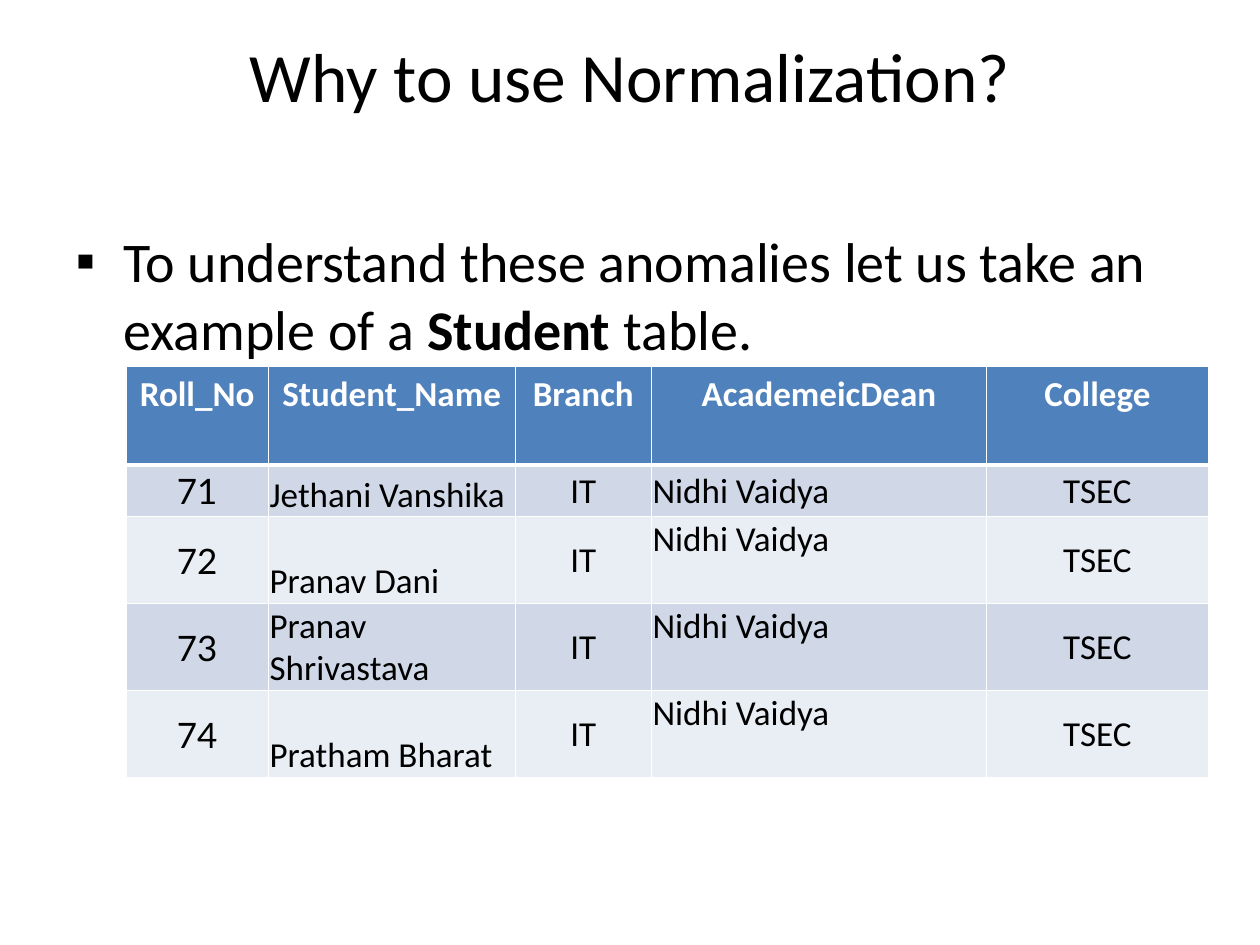
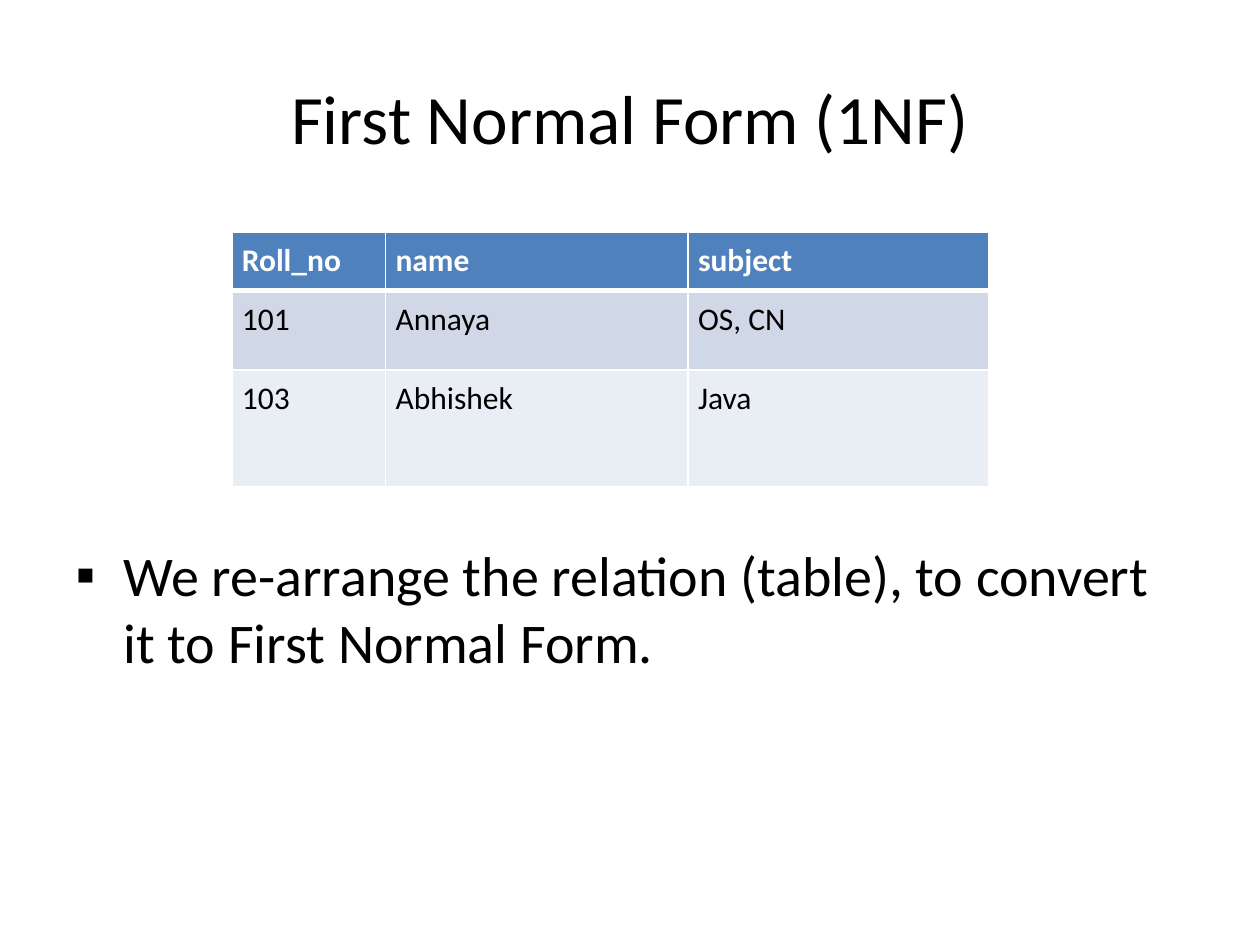
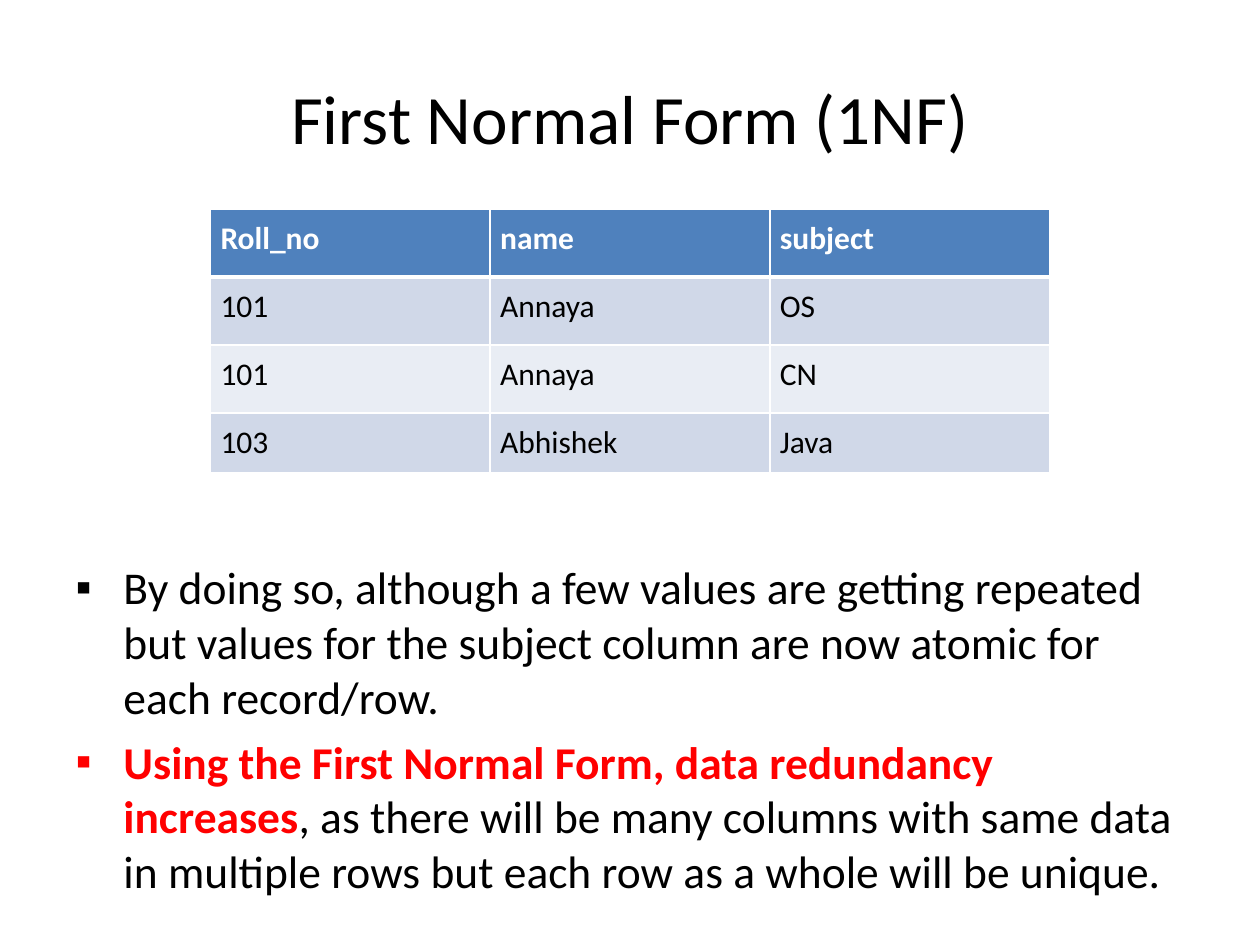
from lxml.etree import SubElement
from pptx import Presentation
from pptx.dml.color import RGBColor
from pptx.enum.text import MSO_ANCHOR, MSO_AUTO_SIZE, PP_ALIGN
from pptx.oxml.ns import qn
from pptx.util import Inches, Pt

# Shared style
COLORS = {
    "text": "000000",
    "accent": "FF0000",
    "header": "4F81BD",
    "header_text": "FFFFFF",
    "border": "FFFFFF",
    "odd_row": "D0D8E8",
    "even_row": "E9EDF4",
}
FONT = "Calibri"
NUMBER_FONT = "Lato"
TITLE_SIZE = 39.6
BULLET = "▪"
INDENT = 0.38
LEFT, WIDTH = 0.5, 9
CELL_INSETS = (0.08, 0.08, 0.08, 0.08)
TIGHT_INSETS = (0.01, 0.01, 0.01, 0)


class Deck:
    """Holds the presentation, its style and the current slide."""

    def __init__(self):
        self.prs = Presentation()
        self.prs.slide_width = Inches(10)
        self.prs.slide_height = Inches(7.5)
        self.slide = None

    def new_slide(self):
        self.slide = self.prs.slides.add_slide(self.prs.slide_layouts[1])

    def add_run(self, paragraph, text, size, color="text", bold=False, font=FONT):
        run = paragraph.add_run()
        run.text = text
        run.font.name = font
        run.font.size = Pt(size)
        run.font.bold = bold
        run.font.color.rgb = RGBColor.from_string(COLORS[color])

    def place(self, placeholder, top, height, margin_top):
        placeholder.left, placeholder.top = Inches(LEFT), Inches(top)
        placeholder.width, placeholder.height = Inches(WIDTH), Inches(height)
        frame = placeholder.text_frame
        frame.word_wrap = True
        frame.auto_size = MSO_AUTO_SIZE.NONE
        frame.margin_top = Inches(margin_top)
        return frame

    def title(self, text, top=0.3, anchor=MSO_ANCHOR.MIDDLE, margin_top=0.05):
        frame = self.place(self.slide.shapes.title, top, 1.25, margin_top)
        frame.vertical_anchor = anchor
        heading = frame.paragraphs[0]
        heading.alignment = PP_ALIGN.CENTER
        self.add_run(heading, text, TITLE_SIZE)

    def bullets(self, items, size, top=1.75, height=4.95, margin_top=0.05):
        """Each item is a list of (text, color, bold) runs."""
        frame = self.place(self.slide.placeholders[1], top, height, margin_top)
        for index, item in enumerate(items):
            paragraph = frame.paragraphs[0] if index == 0 else frame.add_paragraph()
            props = paragraph._p.get_or_add_pPr()
            props.set("marL", str(Inches(INDENT)))
            props.set("indent", str(-Inches(INDENT)))
            SubElement(props, qn("a:buChar")).set("char", BULLET)
            paragraph.space_before = Pt(6 if index else 0)
            for text, color, bold in item:
                self.add_run(paragraph, text, size, color, bold)

    def borders(self, cell, top, bottom):
        props = cell._tc.get_or_add_tcPr()
        for side, width in (("L", 1), ("R", 1), ("T", top), ("B", bottom)):
            line = SubElement(props, qn(f"a:ln{side}"), w=str(Pt(width)))
            fill = SubElement(line, qn("a:solidFill"))
            SubElement(fill, qn("a:srgbClr"), val=COLORS["border"])

    def table(self, records, left, top, widths, heights, size, style_cell=None):
        """Draw records; style_cell(cell, row, column) adjusts and returns a font."""
        grid = self.slide.shapes.add_table(
            len(records), len(widths), Inches(left), Inches(top),
            Inches(sum(widths)), Inches(sum(heights))).table
        for column, width in zip(grid.columns, widths):
            column.width = Inches(width)
        for row, (record, height) in enumerate(zip(records, heights)):
            grid.rows[row].height = Inches(height)
            is_header = row == 0
            band = "header" if is_header else "odd_row" if row % 2 else "even_row"
            for column, text in enumerate(record):
                cell = grid.cell(row, column)
                self.borders(cell, 3 if row == 1 else 1, 3 if is_header else 1)
                cell.fill.solid()
                cell.fill.fore_color.rgb = RGBColor.from_string(COLORS[band])
                set_insets(cell, CELL_INSETS)
                font = style_cell(cell, row, column) if style_cell else FONT
                self.add_run(cell.text_frame.paragraphs[0], text, size,
                             "header_text" if is_header else "text", is_header, font)


def set_insets(cell, insets):
    (cell.margin_left, cell.margin_top,
     cell.margin_right, cell.margin_bottom) = map(Inches, insets)


def style_student_cell(cell, row, column):
    """Names and deans are left aligned, all else is centred."""
    name, dean = 1, 3
    paragraph = cell.text_frame.paragraphs[0]
    if row == 0 or column not in (name, dean):
        paragraph.alignment = PP_ALIGN.CENTER
    if row == 0:
        set_insets(cell, (0.08, 0.05, 0.08, 0.05))
        return FONT
    set_insets(cell, TIGHT_INSETS)
    cell.vertical_anchor = MSO_ANCHOR.MIDDLE
    if column == name:
        cell.vertical_anchor = MSO_ANCHOR.BOTTOM
    elif column == dean and row > 1:
        cell.vertical_anchor = MSO_ANCHOR.TOP
    return NUMBER_FONT if column == 0 else FONT


def student_slide(deck):
    deck.new_slide()
    deck.title("Why to use Normalization?", top=0.26,
               anchor=MSO_ANCHOR.TOP, margin_top=0)
    deck.bullets([[
        ("To understand these anomalies let us take an example of a ", "text", False),
        ("Student", "text", True),
        (" table.", "text", False),
    ]], size=32)
    students = ["Jethani Vanshika", "Pranav Dani", "Pranav Shrivastava", "Pratham Bharat"]
    records = [("Roll_No", "Student_Name", "Branch", "AcademeicDean", "College")]
    records += [(str(roll), student, "IT", "Nidhi Vaidya", "TSEC")
                for roll, student in enumerate(students, 71)]
    deck.table(records, 1, 2.91, [1.13, 1.96, 1.08, 2.66, 1.76],
               [0.78, 0.41] + [0.69] * 3, 20, style_student_cell)


SUBJECT_HEADER = ("Roll_no", "name", "subject")


def unnormalized_slide(deck):
    deck.new_slide()
    deck.title("First Normal Form (1NF)")
    deck.bullets([[
        ("We re-arrange the relation (table), to convert it to First Normal Form.",
         "text", False),
    ]], size=32, margin_top=2.54)
    deck.table([SUBJECT_HEADER,
                ("101", "Annaya", "OS, CN"),
                ("103", "Abhishek", "Java")],
               1.84, 1.84, [1.22, 2.4, 2.39], [0.46, 0.63, 0.93], 18)


def first_normal_form_slide(deck):
    deck.new_slide()
    deck.title("First Normal Form (1NF)")
    deck.bullets([
        [("By doing so, although a few values are getting repeated but values for "
          "the subject column are now atomic for each record/row.", "text", False)],
        [("Using the First Normal Form, data redundancy increases", "accent", True),
         (", as there will be many columns with same data in multiple rows but "
          "each row as a whole will be unique.", "text", False)],
    ], size=26, top=1.42, height=5.92, margin_top=3.02)
    deck.table([SUBJECT_HEADER,
                ("101", "Annaya", "OS"),
                ("101", "Annaya", "CN"),
                ("103", "Abhishek", "Java")],
               1.67, 1.66, [2.22] * 3, [0.54] * 3 + [0.47], 18)


def main():
    deck = Deck()
    student_slide(deck)
    unnormalized_slide(deck)
    first_normal_form_slide(deck)
    deck.prs.save("out.pptx")


if __name__ == "__main__":
    main()
